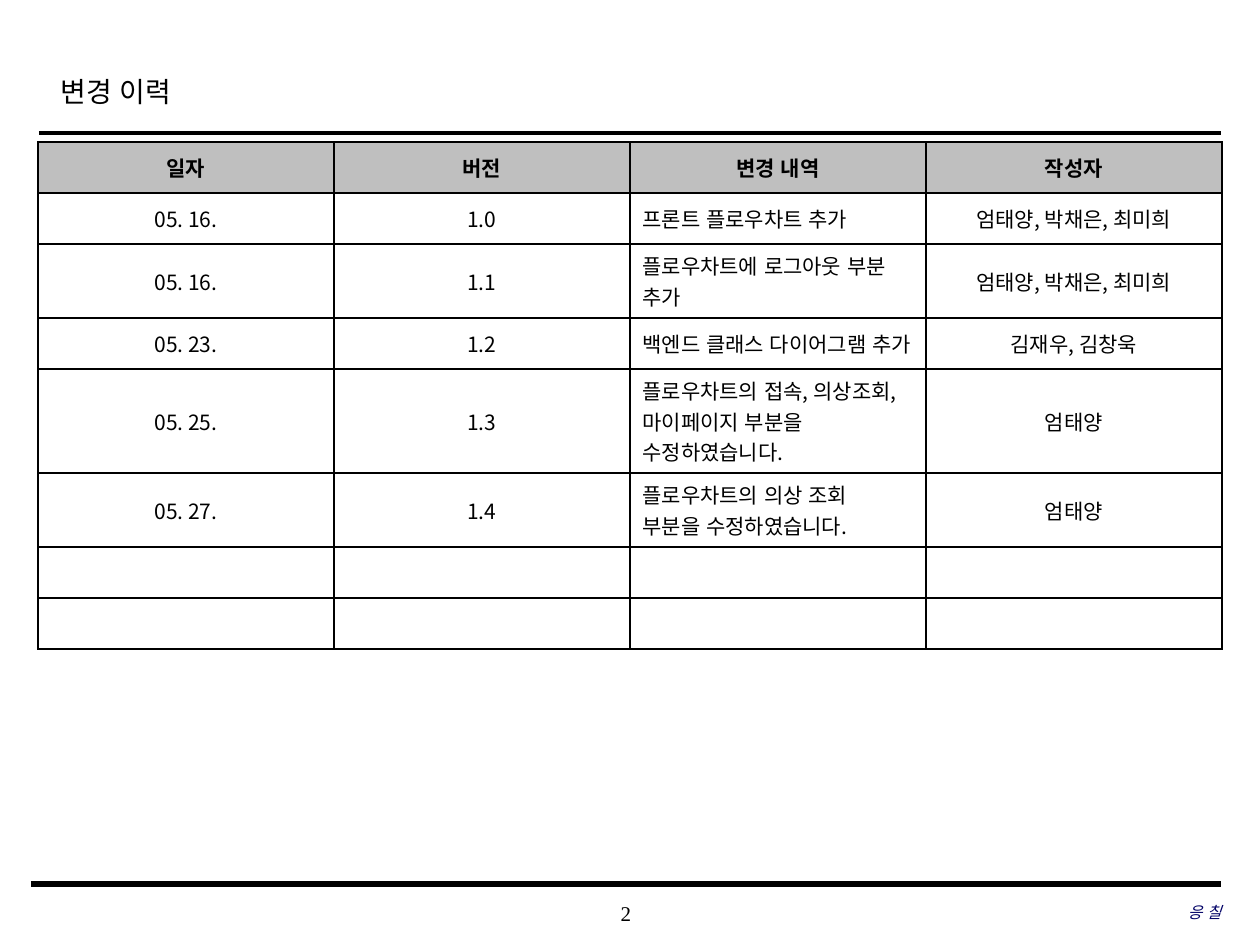
from lxml.etree import SubElement
from pptx import Presentation
from pptx.dml.color import RGBColor
from pptx.enum.lang import MSO_LANGUAGE_ID
from pptx.enum.shapes import MSO_CONNECTOR
from pptx.enum.text import MSO_ANCHOR, PP_ALIGN
from pptx.oxml.ns import qn
from pptx.util import Emu, Pt

# Content
TITLE = "변경 이력"
PAGE_NUMBER = "2"
TEAM = "응 칠"
HEADERS = ("일자", "버전", "변경 내역", "작성자")
CHANGES = [
    ("05. 16.", "1.0", "프론트 플로우차트 추가", "엄태양, 박채은, 최미희"),
    ("05. 16.", "1.1", "플로우차트에 로그아웃 부분 추가", "엄태양, 박채은, 최미희"),
    ("05. 23.", "1.2", "백엔드 클래스 다이어그램 추가", "김재우, 김창욱"),
    ("05. 25.", "1.3", "플로우차트의 접속, 의상조회, 마이페이지 부분을 수정하였습니다.", "엄태양"),
    ("05. 27.", "1.4", "플로우차트의 의상 조회\n부분을 수정하였습니다.", "엄태양"),
]
EMPTY_ROWS = 2
DETAIL_COLUMN = 2

# Format
COLORS = {"ink": "000000", "team": "000066", "header": "BFBFBF", "paper": "FFFFFF"}
SERIF, SANS = "Times New Roman", "Noto Sans CJK KR"
PX = 914400 / 126
COLUMN_WIDTH = 296
ROW_HEIGHTS = (51, 51, 74, 51, 104, 74, 51, 51)
LEFT, CENTER, RIGHT = PP_ALIGN.LEFT, PP_ALIGN.CENTER, PP_ALIGN.RIGHT


def px(value):
    return Emu(round(value * PX))


def color(name):
    return RGBColor.from_string(COLORS[name])


def write(para, text, align, ink="ink", **formats):
    para.text = text
    para.alignment = align
    for span in para.runs:
        for name, value in formats.items():
            setattr(span.font, name, value)
        span.font.language_id = MSO_LANGUAGE_ID.KOREAN
        span.font.color.rgb = color(ink)
        SubElement(span.font._element, qn("a:ea"), typeface=SANS)


def add_text(page, area, text, align, margins=None, **formats):
    box = page.shapes.add_textbox(*map(px, area))
    frame = box.text_frame
    frame.word_wrap = True
    frame.vertical_anchor = MSO_ANCHOR.MIDDLE
    for name, value in (margins or {}).items():
        setattr(frame, name, value)
    write(frame.paragraphs[0], text, align, **formats)
    return box


def add_rule(page, start, end, y, weight):
    rule = page.shapes.add_connector(MSO_CONNECTOR.STRAIGHT, px(start), px(y), px(end), px(y))
    rule.line.color.rgb = color("ink")
    rule.line.width = Pt(weight)
    SubElement(rule._element.spPr, qn("a:effectLst"))


def add_borders(cell):
    properties = cell._tc.get_or_add_tcPr()
    for index, side in enumerate(("lnL", "lnR", "lnT", "lnB")):
        border = properties.makeelement(qn(f"a:{side}"), {"w": str(Pt(1))})
        fill = SubElement(border, qn("a:solidFill"))
        SubElement(fill, qn("a:srgbClr"), val=COLORS["ink"])
        properties.insert(index, border)


def add_history(page, left, top):
    rows = [HEADERS, *CHANGES] + [("",) * len(HEADERS)] * EMPTY_ROWS
    size = (COLUMN_WIDTH * len(HEADERS), sum(ROW_HEIGHTS))
    table = page.shapes.add_table(len(rows), len(HEADERS), *map(px, (left, top, *size))).table
    for column in table.columns:
        column.width = px(COLUMN_WIDTH)
    for r, (values, height) in enumerate(zip(rows, ROW_HEIGHTS)):
        table.rows[r].height = px(height)
        for c, text in enumerate(values):
            cell = table.cell(r, c)
            cell.vertical_anchor = MSO_ANCHOR.MIDDLE
            cell.fill.solid()
            cell.fill.fore_color.rgb = color("paper" if r else "header")
            add_borders(cell)
            para = cell.text_frame.paragraphs[0]
            align = LEFT if r and c == DETAIL_COLUMN else CENTER
            write(para, text, align, size=Pt(12), name=SANS, bold=r == 0)
            if not text:
                SubElement(para._p, qn("a:endParaRPr"), sz="1200")


def main():
    deck = Presentation()
    deck.slide_width, deck.slide_height = px(1260), px(945)
    page = deck.slides.add_slide(deck.slide_layouts[6])
    flush = {f"margin_{side}": 0 for side in ("left", "right", "top", "bottom")}

    # Title and rules
    add_rule(page, 39, 1221, 133, 2.5)
    add_rule(page, 31, 1221, 884, 3)
    title = add_text(page, (48, 57, 951, 63), TITLE, LEFT, size=Pt(16), name=SERIF)
    title.text_frame.paragraphs[0].line_spacing = 1.2

    # Change history
    add_history(page, 38, 142)

    # Footer
    add_text(page, (495, 892, 262, 42), PAGE_NUMBER, CENTER, flush, size=Pt(12), name=SERIF)
    add_text(page, (835, 891, 386, 42), TEAM, RIGHT, flush, ink="team",
             size=Pt(9), name=SERIF, italic=True)
    deck.save("out.pptx")


if __name__ == "__main__":
    main()
